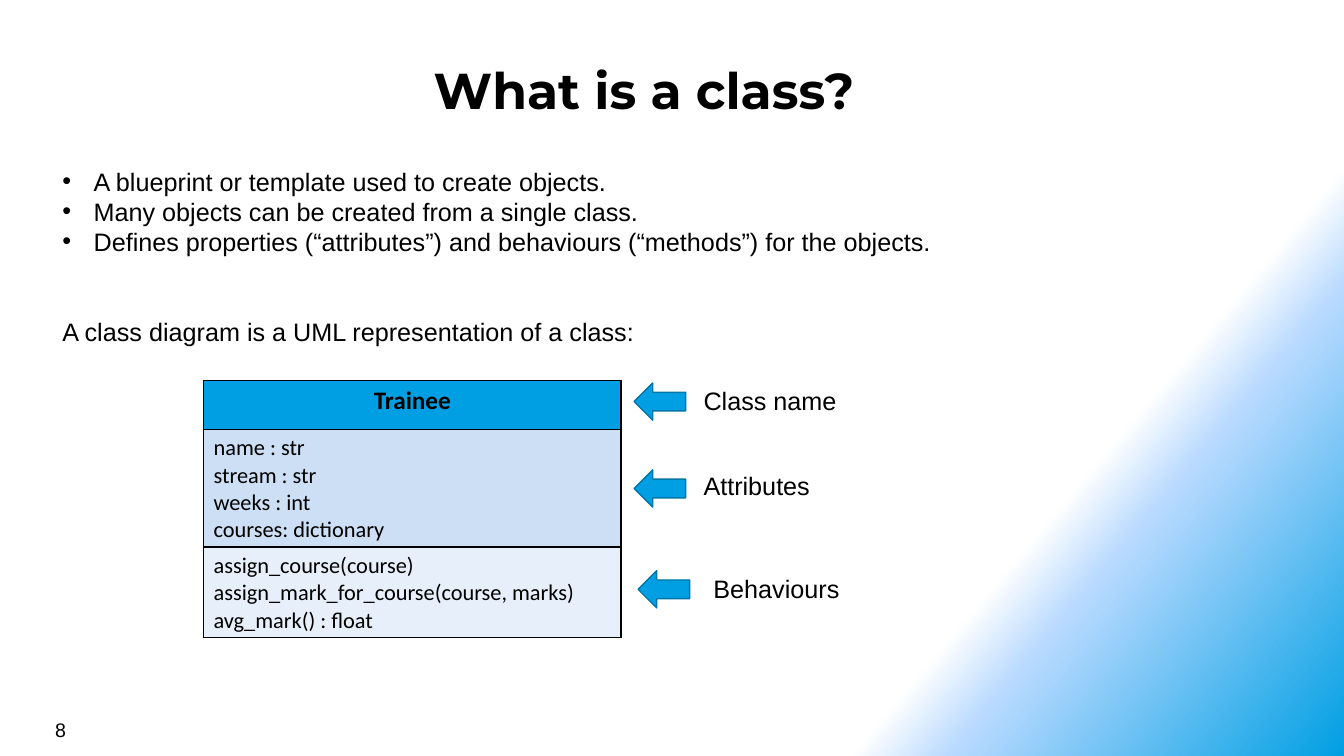
from dataclasses import dataclass

from pptx import Presentation
from pptx import util as u
from pptx.dml.color import RGBColor
from pptx.enum import shapes, text
from pptx.oxml import parse_xml
from pptx.oxml.ns import nsdecls
from pptx.oxml.xmlchemy import OxmlElement
from pptx.slide import Slide

BLACK = RGBColor(0x00, 0x00, 0x00)
WHITE = RGBColor(0xFF, 0xFF, 0xFF)
PALE_BLUE = RGBColor(0xB9, 0xDA, 0xFF)
BLUE = RGBColor(0x00, 0x9F, 0xE3)
DARK_BLUE = RGBColor(0x00, 0x76, 0xA8)
ATTRIBUTE_FILL = RGBColor(0xCC, 0xDF, 0xF4)
METHOD_FILL = RGBColor(0xE7, 0xF0, 0xFA)

BACKGROUND_STOPS = ((75, WHITE), (80, PALE_BLUE), (100, BLUE))
BACKGROUND_ANGLE = 40
LINE_HEIGHT = 21.5
BULLET_INDENT = u.Cm(0.79)


@dataclass(frozen=True)
class TextBlock:
    left: float
    top: float
    width: float
    height: float
    lines: tuple[str, ...]
    size: float = 18
    font: str = "Arial"
    bold: bool = False
    centred: bool = False


@dataclass(frozen=True)
class Compartment:
    height: float
    lines: tuple[str, ...]
    fill: RGBColor
    size: float = 16
    header: bool = False


@dataclass(frozen=True)
class Callout:
    arrow_left: float
    arrow_top: float
    label: TextBlock


TITLE = TextBlock(0.66, 1.3, 31.14, 1.4, ("What is a class?",), 36, "Montserrat", True, True)
PAGE_NUMBER = TextBlock(1.14, 17.96, 7.9, 0.84, ("8",), 14)
BODY = TextBlock(1.32, 4.06, 25.4, 4.88, (
    "A blueprint or template used to create objects.",
    "Many objects can be created from a single class.",
    "Defines properties (“attributes”) and behaviours (“methods”) for the objects.",
    "A class diagram is a UML representation of a class:",
))
COMPARTMENTS = (
    Compartment(1.24, ("Trainee",), BLUE, 18, True),
    Compartment(2.95, ("name : str", "stream : str", "weeks : int", "courses: dictionary"),
                ATTRIBUTE_FILL),
    Compartment(2.29, ("assign_course(course)", "assign_mark_for_course(course, marks)",
                       "avg_mark() : float"), METHOD_FILL),
)
CALLOUTS = (
    Callout(15.98, 9.65, TextBlock(17.48, 9.58, 3.99, 1.03, ("Class name",))),
    Callout(15.98, 11.84, TextBlock(17.48, 11.73, 5.87, 1.03, ("Attributes",))),
    Callout(16.08, 14.38, TextBlock(17.73, 14.33, 4.6, 1.03, ("Behaviours",))),
)


def paint_background(slide: Slide) -> None:
    fill = slide.background.fill
    fill.gradient()
    fill.gradient_angle = 360 - BACKGROUND_ANGLE
    stops = slide.background._cSld.find(".//{*}gsLst")
    stops.clear()
    for position, colour in BACKGROUND_STOPS:
        stops.append(parse_xml(
            f'<a:gs {nsdecls("a")} pos="{position * 1000}"><a:srgbClr val="{colour}"/></a:gs>'))


def write_lines(text_frame, lines: tuple[str, ...], size: float, font: str,
                bold: bool, centred: bool) -> None:
    text_frame.text = "\n".join(lines)
    for paragraph in text_frame.paragraphs:
        paragraph.alignment = text.PP_ALIGN.CENTER if centred else text.PP_ALIGN.LEFT
        for run in paragraph.runs:
            run.font.name = font
            run.font.size = u.Pt(size)
            run.font.bold = bold
            run.font.color.rgb = BLACK


def add_text(slide: Slide, block: TextBlock):
    shape = slide.shapes.add_textbox(
        u.Cm(block.left), u.Cm(block.top), u.Cm(block.width), u.Cm(block.height))
    text_frame = shape.text_frame
    text_frame.word_wrap = True
    write_lines(text_frame, block.lines, block.size, block.font, block.bold, block.centred)
    return text_frame


def add_title(slide: Slide) -> None:
    text_frame = add_text(slide, TITLE)
    text_frame.margin_left = text_frame.margin_right = u.Cm(0.2)
    text_frame.margin_top = text_frame.margin_bottom = u.Cm(0.2)


def add_body(slide: Slide) -> None:
    *bullets, introduction = add_text(slide, BODY).paragraphs
    for paragraph in (*bullets, introduction):
        paragraph.line_spacing = u.Pt(LINE_HEIGHT)
    introduction.space_before = u.Pt(2 * LINE_HEIGHT)
    for paragraph in bullets:
        properties = paragraph._p.get_or_add_pPr()
        properties.set("marL", str(BULLET_INDENT))
        properties.set("indent", str(-BULLET_INDENT))
        bullet_font = OxmlElement("a:buFont")
        bullet_font.set("typeface", "Arial")
        bullet = OxmlElement("a:buChar")
        bullet.set("char", "•")
        properties.extend((bullet_font, bullet))


def add_borders(cell) -> None:
    properties = cell._tc.get_or_add_tcPr()
    for side in "LRTB":
        properties.append(parse_xml(
            f'<a:ln{side} {nsdecls("a")} w="{u.Pt(1)}"><a:solidFill>'
            f'<a:srgbClr val="{BLACK}"/></a:solidFill></a:ln{side}>'))


def add_class_diagram(slide: Slide) -> None:
    height = sum(compartment.height for compartment in COMPARTMENTS)
    table = slide.shapes.add_table(
        len(COMPARTMENTS), 1, u.Cm(5.13), u.Cm(9.58), u.Cm(10.52), u.Cm(height)).table
    table.horz_banding = False
    for row, compartment in zip(table.rows, COMPARTMENTS):
        row.height = u.Cm(compartment.height)
        cell = row.cells[0]
        add_borders(cell)
        cell.fill.solid()
        cell.fill.fore_color.rgb = compartment.fill
        write_lines(cell.text_frame, compartment.lines, compartment.size, "Calibri",
                    compartment.header, compartment.header)


def add_callout(slide: Slide, callout: Callout) -> None:
    arrow = slide.shapes.add_shape(
        shapes.MSO_SHAPE.LEFT_ARROW, u.Cm(callout.arrow_left), u.Cm(callout.arrow_top),
        u.Cm(1.3), u.Cm(0.94))
    arrow.shadow.inherit = False
    arrow.fill.solid()
    arrow.fill.fore_color.rgb = BLUE
    arrow.line.color.rgb = DARK_BLUE
    arrow.line.width = u.Pt(1)
    add_text(slide, callout.label)


def main() -> None:
    presentation = Presentation()
    presentation.slide_width = u.Cm(33.87)
    presentation.slide_height = u.Cm(19.05)
    slide = presentation.slides.add_slide(presentation.slide_layouts[6])
    paint_background(slide)
    add_title(slide)
    add_text(slide, PAGE_NUMBER)
    add_body(slide)
    add_class_diagram(slide)
    for callout in CALLOUTS:
        add_callout(slide, callout)
    presentation.save("out.pptx")


if __name__ == "__main__":
    main()
